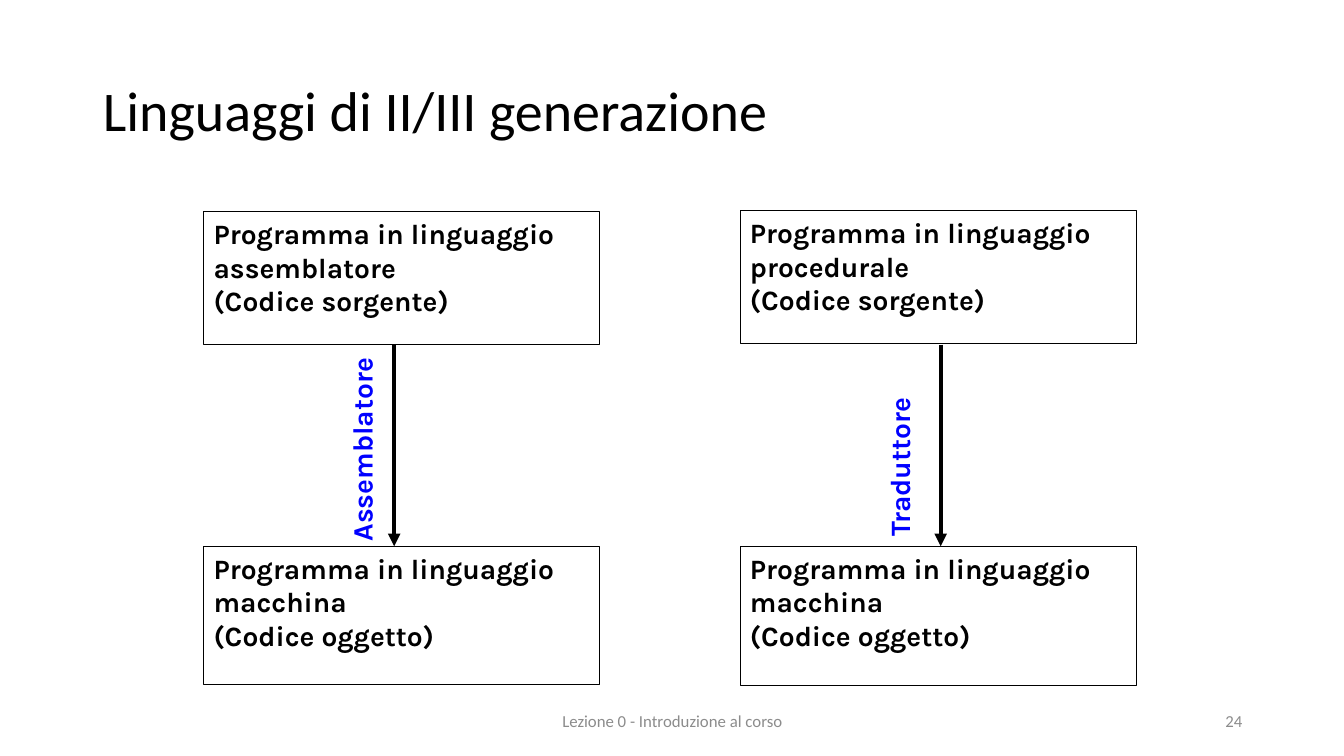
from pptx import Presentation
from pptx.dml.color import RGBColor
from pptx.enum.shapes import MSO_CONNECTOR, MSO_SHAPE
from pptx.enum.text import MSO_ANCHOR, MSO_AUTO_SIZE, PP_ALIGN
from pptx.oxml.ns import qn
from pptx.util import Inches, Pt
from lxml import etree

COLORS = {"black": "000000", "white": "FFFFFF", "blue": "0000FF", "gray": "8C8C8C"}
BOX_WIDTH = 3.93
LABEL_WIDTH = 0.54
ARROW_TOP, ARROW_BOTTOM = 3.42, 5.42


def color(name):
    return RGBColor.from_string(COLORS[name])


def format_paragraph(paragraph, font_name, size, color_name, bold=False,
                     align=PP_ALIGN.LEFT):
    paragraph.alignment = align
    font = paragraph.font
    font.name, font.size, font.bold = font_name, Pt(size), bold
    font.color.rgb = color(color_name)
    if font_name == "Karla":
        paragraph.space_before, paragraph.space_after = Pt(12), Pt(6)


presentation = Presentation()
presentation.slide_width = Inches(13.33)
presentation.slide_height = Inches(7.5)
slide = presentation.slides.add_slide(presentation.slide_layouts[5])
shapes = slide.shapes

# Title
title = shapes.title
title.left, title.top = Inches(0.92), Inches(0.4)
title.width, title.height = Inches(11.5), Inches(1.45)
title.text_frame.text = "Linguaggi di II/III generazione"
title.text_frame.auto_size = MSO_AUTO_SIZE.NONE
title.text_frame.vertical_anchor = MSO_ANCHOR.MIDDLE
format_paragraph(title.text_frame.paragraphs[0], "Calibri", 40, "black")
title.text_frame.paragraphs[0].line_spacing = 0.9

# Translation chains: left, source top, object height, language,
# arrow x, translator, label left, label top, label height
chains = [
    (7.34, 2.09, 1.38, "procedurale", 9.33, "Traduttore", 8.7, 3.29, 2.13),
    (2.02, 2.1, 1.37, "assemblatore", 3.91, "Assemblatore", 3.37, 3.35, 2.12),
]
for (left, source_top, object_height, language, arrow_x,
     translator, label_left, label_top, label_height) in chains:
    boxes = [
        (source_top, 1.32, language, "(Codice sorgente)"),
        (ARROW_BOTTOM, object_height, "macchina", "(Codice oggetto)"),
    ]
    for top, height, box_language, code in boxes:
        box = shapes.add_shape(MSO_SHAPE.RECTANGLE, Inches(left), Inches(top),
                               Inches(BOX_WIDTH), Inches(height))
        box.shadow.inherit = False
        box.fill.solid()
        box.fill.fore_color.rgb = color("white")
        box.line.color.rgb = color("black")
        box.line.width = Pt(0.75)
        box.text_frame.word_wrap = True
        box.text_frame.vertical_anchor = MSO_ANCHOR.TOP
        paragraph = box.text_frame.paragraphs[0]
        paragraph.add_run().text = f"Programma in linguaggio {box_language}"
        paragraph.add_line_break()
        paragraph.add_run().text = code
        format_paragraph(paragraph, "Karla", 20, "black", bold=True)

    arrow = shapes.add_connector(MSO_CONNECTOR.STRAIGHT,
                                 Inches(arrow_x), Inches(ARROW_TOP),
                                 Inches(arrow_x), Inches(ARROW_BOTTOM))
    arrow.line.color.rgb = color("black")
    arrow.line.width = Pt(3)
    etree.SubElement(arrow.line._get_or_add_ln(), qn("a:tailEnd"), type="triangle")
    etree.SubElement(arrow._element.spPr, qn("a:effectLst"))

    label = shapes.add_textbox(Inches(label_left), Inches(label_top),
                               Inches(LABEL_WIDTH), Inches(label_height))
    label.text_frame.word_wrap = True
    label.text_frame._txBody.bodyPr.set("vert", "vert270")
    label.text_frame.text = translator
    format_paragraph(label.text_frame.paragraphs[0], "Karla", 20, "blue", bold=True)

# Footer and slide number
footers = [
    (4.42, 4.5, "Lezione 0 - Introduzione al corso", PP_ALIGN.CENTER),
    (9.42, 3, "24", PP_ALIGN.RIGHT),
]
for left, width, text, align in footers:
    footer = shapes.add_textbox(Inches(left), Inches(6.95), Inches(width), Inches(0.4))
    footer.text_frame.word_wrap = True
    footer.text_frame.vertical_anchor = MSO_ANCHOR.MIDDLE
    footer.text_frame.text = text
    format_paragraph(footer.text_frame.paragraphs[0], "Calibri", 12, "gray", align=align)

presentation.save("out.pptx")
